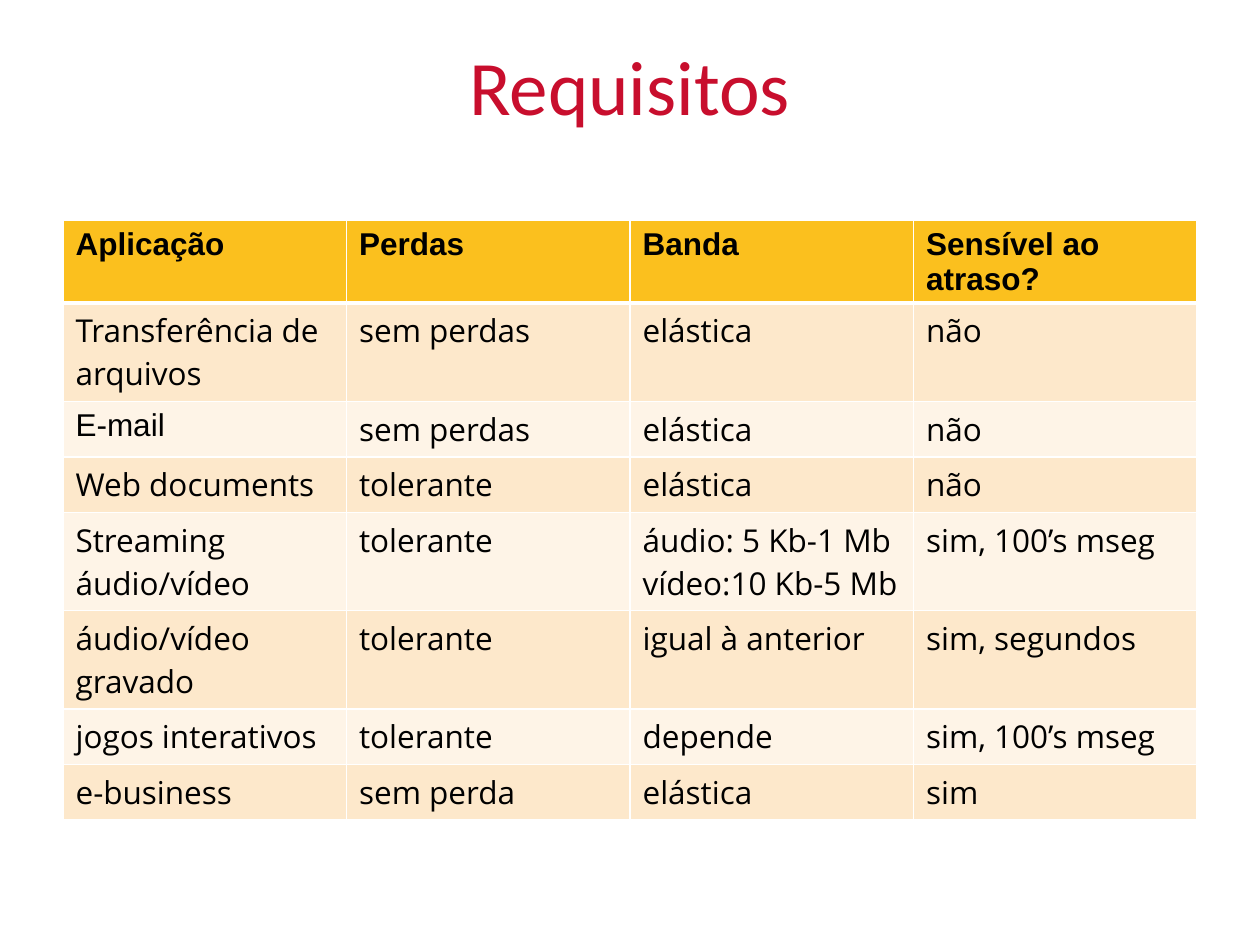
from dataclasses import dataclass

from lxml import etree
from pptx import Presentation
from pptx import util as u
from pptx.dml.color import RGBColor
from pptx.enum import text
from pptx.oxml import ns

TITLE = "Requisitos"
HEADINGS = ("Aplicação", "Perdas", "Banda", "Sensível ao atraso?")
APPLICATIONS = [
    ("Transferência de arquivos", "sem perdas", "elástica", "não"),
    ("E-mail", "sem perdas", "elástica", "não"),
    ("Web documents", "tolerante", "elástica", "não"),
    ("Streaming áudio/vídeo", "tolerante", "áudio: 5 Kb-1 Mb\nvídeo:10 Kb-5 Mb", "sim, 100’s mseg"),
    ("áudio/vídeo gravado", "tolerante", "igual à anterior", "sim, segundos"),
    ("jogos interativos", "tolerante", "depende", "sim, 100’s mseg"),
    ("e-business", "sem perda", "elástica", "sim"),
]
ARIAL_ENTRIES = {*HEADINGS, "E-mail"}
TWO_LINE_ENTRIES = {"Transferência de arquivos", "Streaming áudio/vídeo", "áudio/vídeo gravado"}
HEADER_HEIGHT, TWO_LINE_HEIGHT, ONE_LINE_HEIGHT = u.Cm(1.66), u.Cm(1.98), u.Cm(1.12)


@dataclass(frozen=True)
class Theme:
    title_font: str = "Calibri"
    heading_font: str = "Arial"
    body_font: str = "Open Sans"
    title_size: int = 44
    table_size: int = 18
    title: str = "C80E2D"
    ink: str = "000000"
    header: str = "FBC01E"
    bands: tuple = ("FDE8CB", "FEF4E7")
    rule: str = "FFFFFF"


THEME = Theme()


def style(frame, font, size, color, bold=False):
    for paragraph in frame.paragraphs:
        for run in paragraph.runs:
            run.font.name = font
            run.font.size = u.Pt(size)
            run.font.bold = bold
            run.font.color.rgb = RGBColor.from_string(color)


def rule_cell(cell, widths):
    properties = cell._tc.get_or_add_tcPr()
    for side, width in widths.items():
        line = etree.SubElement(properties, ns.qn(f"a:ln{side}"), w=str(u.Pt(width)))
        fill = etree.SubElement(line, ns.qn("a:solidFill"))
        etree.SubElement(fill, ns.qn("a:srgbClr"), val=THEME.rule)


def add_title(slide):
    heading = slide.shapes.add_textbox(u.Cm(1.27), u.Cm(0.11), u.Cm(22.86), u.Cm(3.18))
    frame = heading.text_frame
    frame.word_wrap = True
    frame.vertical_anchor = text.MSO_ANCHOR.MIDDLE
    frame.text = TITLE
    frame.paragraphs[0].alignment = text.PP_ALIGN.CENTER
    style(frame, THEME.title_font, THEME.title_size, THEME.title)


def add_requirements(slide):
    entries = [HEADINGS, *APPLICATIONS]
    heights = [HEADER_HEIGHT] + [
        TWO_LINE_HEIGHT if application in TWO_LINE_ENTRIES else ONE_LINE_HEIGHT
        for application, *_ in APPLICATIONS
    ]
    requirements = slide.shapes.add_table(
        len(entries), len(HEADINGS), u.Cm(1.27), u.Cm(4.45), u.Cm(22.86), sum(heights)
    ).table
    for r, (entry, height) in enumerate(zip(entries, heights)):
        is_header = r == 0
        requirements.rows[r].height = height
        band = THEME.header if is_header else THEME.bands[(r - 1) % 2]
        widths = {"L": 1, "R": 1, "T": 3 if r == 1 else 1, "B": 3 if is_header else 1}
        for c, wording in enumerate(entry):
            cell = requirements.cell(r, c)
            rule_cell(cell, widths)
            cell.fill.solid()
            cell.fill.fore_color.rgb = RGBColor.from_string(band)
            cell.margin_bottom = u.Cm(0)
            cell.text_frame.text = wording
            font = THEME.heading_font if wording in ARIAL_ENTRIES else THEME.body_font
            style(cell.text_frame, font, THEME.table_size, THEME.ink, is_header)


def main():
    """Build the slide of application requirements."""
    deck = Presentation()
    deck.slide_width, deck.slide_height = u.Cm(25.4), u.Cm(19.05)
    slide = deck.slides.add_slide(deck.slide_layouts[6])
    add_title(slide)
    add_requirements(slide)
    deck.save("out.pptx")


if __name__ == "__main__":
    main()
